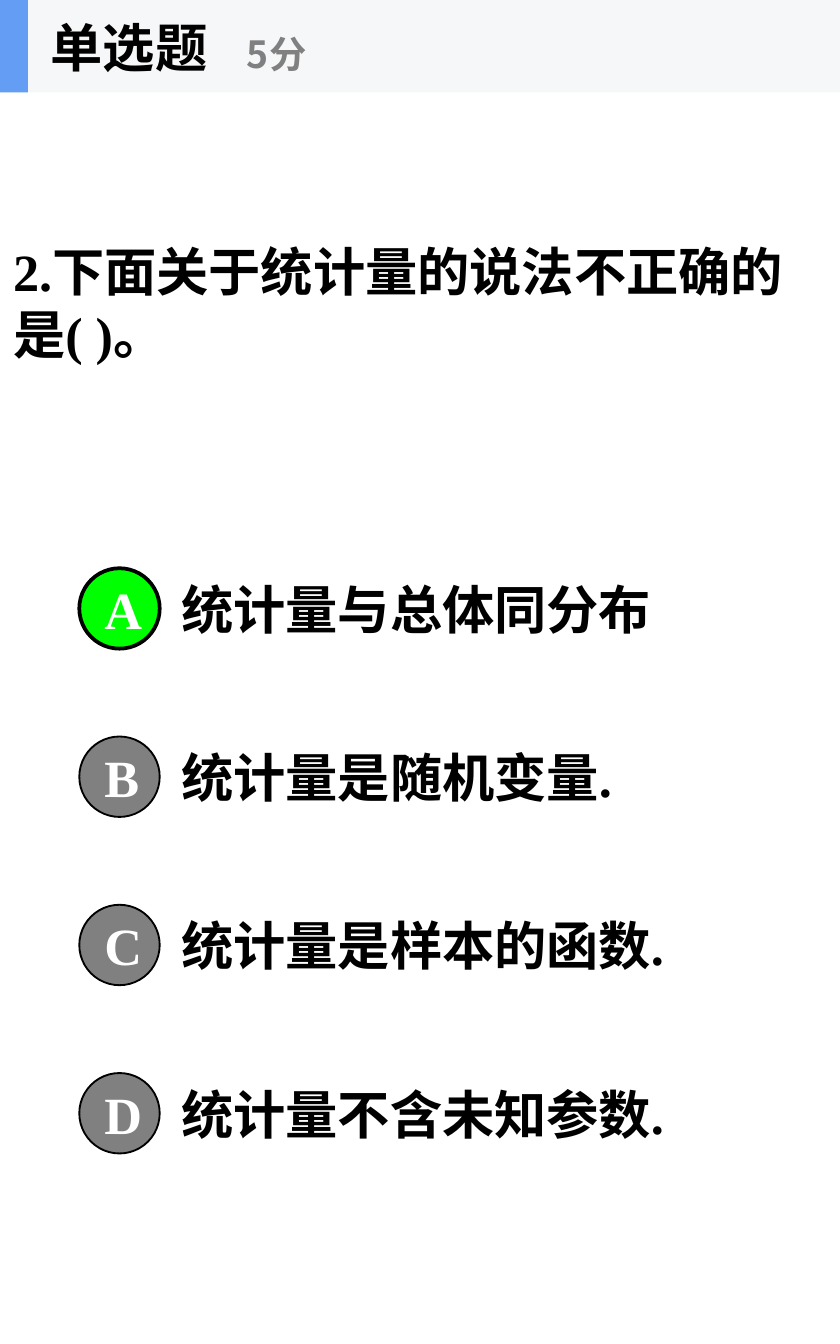
from lxml import etree
from pptx import Presentation
from pptx import util as u
from pptx.dml.color import RGBColor
from pptx.enum import lang, shapes, text
from pptx.oxml import ns

BLACK = RGBColor(0x00, 0x00, 0x00)
WHITE = RGBColor(0xFF, 0xFF, 0xFF)
GRAY = RGBColor(0x80, 0x80, 0x80)
GREEN = RGBColor(0x00, 0xFF, 0x00)
BLUE = RGBColor(0x63, 0x9E, 0xF4)
PALE = RGBColor(0xF6, 0xF7, 0xF8)

SERIF = "Times New Roman"
SANS = "Noto Sans CJK SC"

HEADER_HEIGHT = 1.75
OPTION_TOP = 10.31
OPTION_STEP = 3.18
OPTION_HEIGHT = 2.38
BADGE_SIZE = 1.52
CORRECT = "A"
OPTIONS = {
    "A": "统计量与总体同分布",
    "B": "统计量是随机变量.",
    "C": "统计量是样本的函数.",
    "D": "统计量不含未知参数.",
}


def write(shape, words, color=BLACK, size=28, font=SERIF, align=text.PP_ALIGN.LEFT):
    frame = shape.text_frame
    frame.vertical_anchor = text.MSO_ANCHOR.MIDDLE
    para = frame.paragraphs[0]
    para.alignment = align
    span = para.add_run()
    span.text = words
    span.font.size = u.Pt(size)
    span.font.bold = True
    span.font.color.rgb = color
    span.font.name = font
    span.font.language_id = lang.MSO_LANGUAGE_ID.SIMPLIFIED_CHINESE
    east_asian = etree.SubElement(span.font._element, ns.qn("a:ea"))
    east_asian.set("typeface", SANS)


def add_text(parent, words, left, top, width, height, wrap=True, **style):
    box = parent.shapes.add_textbox(u.Cm(left), u.Cm(top), u.Cm(width), u.Cm(height))
    box.text_frame.word_wrap = wrap
    write(box, words, **style)


def add_filled(parent, kind, left, top, width, height, color):
    shape = parent.shapes.add_shape(
        kind, u.Cm(left), u.Cm(top), u.Cm(width), u.Cm(height))
    shape.shadow.inherit = False
    shape.fill.solid()
    shape.fill.fore_color.rgb = color
    shape.line.fill.background()
    return shape


def add_header(page, width):
    header = page.shapes.add_group_shape()
    for bar_width, color in ((width, PALE), (0.53, BLUE)):
        add_filled(header, shapes.MSO_SHAPE.RECTANGLE,
                   0, 0, bar_width, HEADER_HEIGHT, color)
    add_text(header, "单选题", 0.71, 0, 5.28, HEADER_HEIGHT, wrap=False)
    add_text(header, "5分", 4.42, 0.3, 6.35, 1.42, wrap=False,
             color=GRAY, size=20, font=SANS)


def add_option(page, letter, words, top):
    add_text(page, words, 3.18, top, 11.11, OPTION_HEIGHT)
    correct = letter == CORRECT
    badge = add_filled(page, shapes.MSO_SHAPE.OVAL,
                       1.5, top + (OPTION_HEIGHT - BADGE_SIZE) / 2,
                       BADGE_SIZE, BADGE_SIZE, GREEN if correct else GRAY)
    badge.line.color.rgb = BLACK
    badge.line.width = u.Pt(2 if correct else 1)
    write(badge, letter, color=WHITE, align=text.PP_ALIGN.CENTER)


def main():
    deck = Presentation()
    deck.slide_width = u.Cm(15.88)
    deck.slide_height = u.Cm(25.4)
    page = deck.slides.add_slide(deck.slide_layouts[6])
    add_text(page, "2.下面关于统计量的说法不正确的是( )。", 0, HEADER_HEIGHT, 15.52, 7.92)
    for row, (letter, words) in enumerate(OPTIONS.items()):
        add_option(page, letter, words, OPTION_TOP + row * OPTION_STEP)
    add_header(page, 15.88)
    deck.save("out.pptx")


if __name__ == "__main__":
    main()
